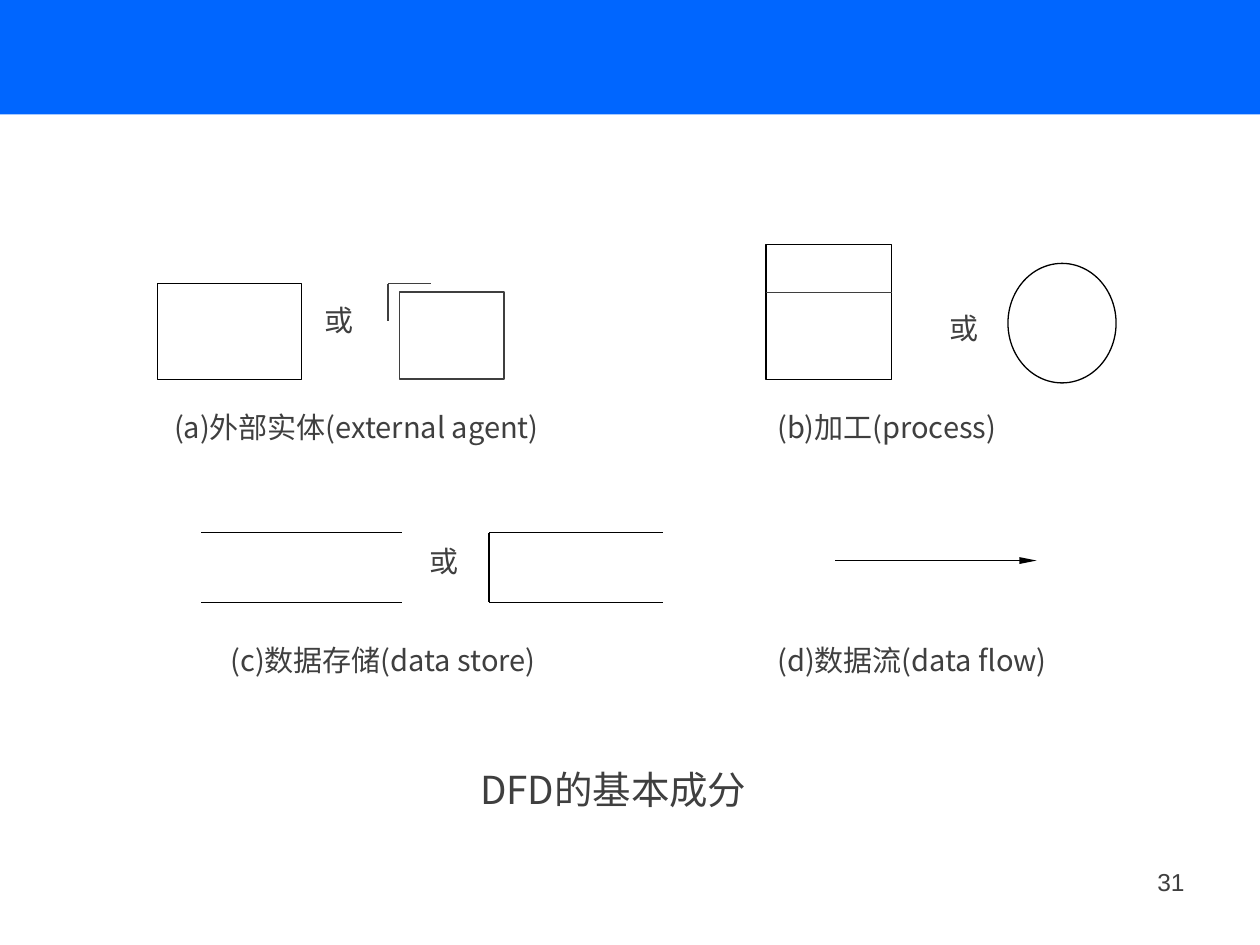
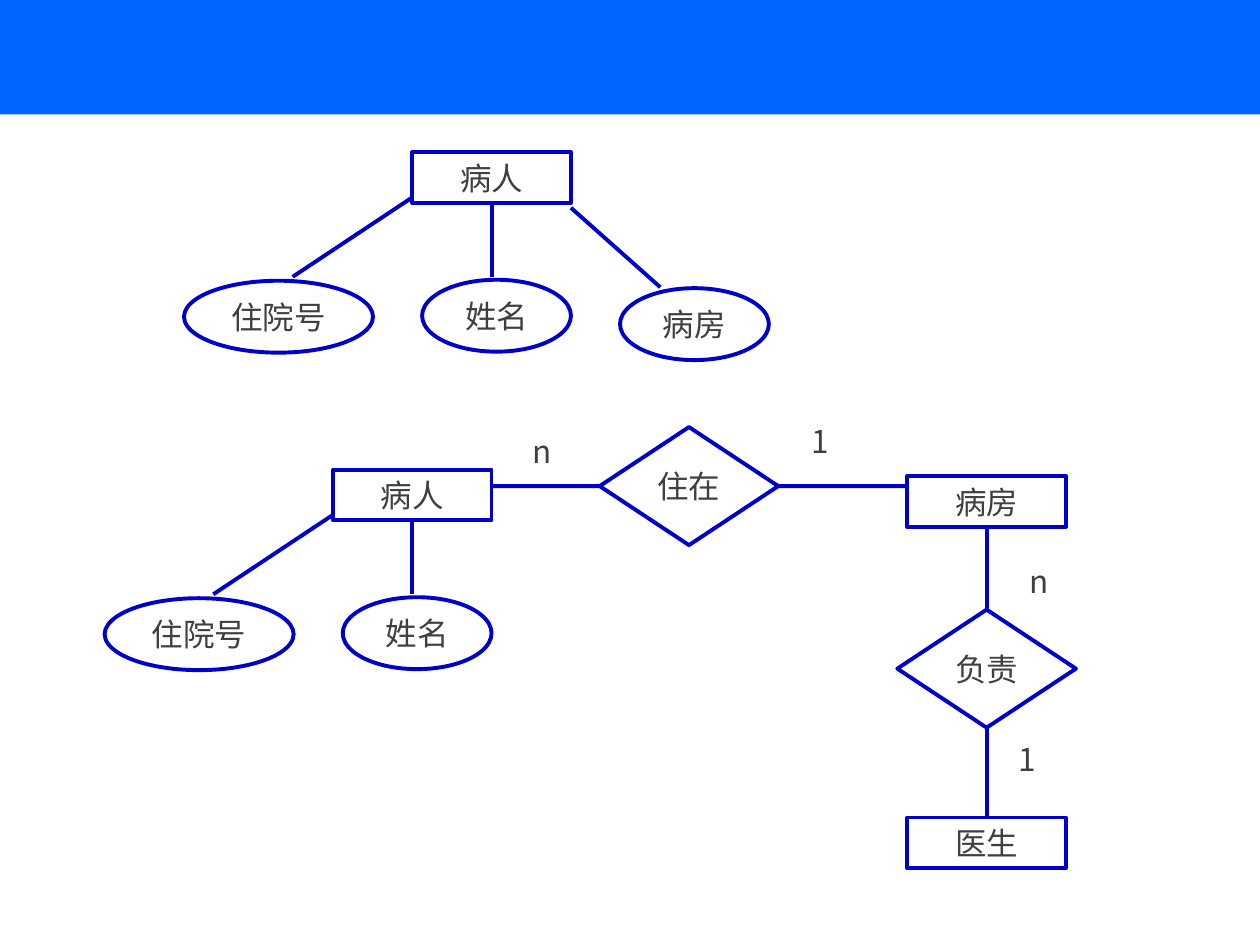
from typing import NamedTuple

from lxml import etree
from pptx import Presentation
from pptx.dml.color import RGBColor
from pptx.enum.shapes import MSO_CONNECTOR, MSO_SHAPE
from pptx.enum.text import MSO_ANCHOR, PP_ALIGN
from pptx.oxml.ns import qn
from pptx.util import Cm, Pt

BAND_BLUE = RGBColor(0x00, 0x66, 0xFF)
ER_BLUE = RGBColor(0x00, 0x00, 0xCC)
BLACK = RGBColor(0x00, 0x00, 0x00)
GREY = RGBColor(0x3F, 0x3F, 0x3F)
WHITE = RGBColor(0xFF, 0xFF, 0xFF)
CJK_FONT = "Noto Sans CJK SC"
NUMBER_FONT = "Arial"

RECT = MSO_SHAPE.RECTANGLE
OVAL = MSO_SHAPE.OVAL
DIAMOND = MSO_SHAPE.FLOWCHART_DECISION
STRAIGHT = MSO_CONNECTOR.STRAIGHT
MIDDLE = MSO_ANCHOR.MIDDLE
LEFT, CENTER, RIGHT, JUSTIFY = (
    PP_ALIGN.LEFT, PP_ALIGN.CENTER, PP_ALIGN.RIGHT, PP_ALIGN.JUSTIFY)
TOP_SITE, LEFT_SITE, BOTTOM_SITE, RIGHT_SITE = range(4)

INSET_X, INSET_Y = 0.25, 0.13
ENTITY_W, ENTITY_H = 3.2, 1.02
ATTRIBUTE_H = 1.45
RELATION_W, RELATION_H = 3.6, 2.38


class Box(NamedTuple):
    x: float
    y: float
    w: float
    h: float


class Pen(NamedTuple):
    color: RGBColor
    width: float


class Label(NamedTuple):
    text: str
    box: Box
    size: float = 16.6


class Attribute(NamedTuple):
    """An oval and its line, both measured from the entity's top left corner."""
    text: str
    x: float
    y: float
    w: float
    start: tuple[float, float]
    end: tuple[float, float]


THIN = Pen(BLACK, 0.75)
THIN_GREY = Pen(GREY, 0.75)
THICK = Pen(ER_BLUE, 2.25)

NOTATION_LABELS = [
    Label("(a)外部实体(external agent)", Box(3.51, 8.26, 9, 1.12)),
    Label("(b)加工(process)", Box(15.67, 8.26, 5.23, 1.12)),
    Label("(c)数据存储(data store)", Box(4.65, 12.95, 7.54, 1.1)),
    Label("(d)数据流(data flow)", Box(15.67, 12.95, 6.38, 1.1)),
    Label("DFD的基本成分", Box(9.68, 15.44, 6.96, 1.1), 22),
    Label("或", Box(6.55, 6.1, 0.6, 1.1)),
    Label("或", Box(19.15, 6.25, 0.6, 1.1)),
    Label("或", Box(8.66, 10.95, 0.6, 1.1)),
]

PATIENT_ATTRIBUTES = [
    Attribute("住院号", -4.6, 2.59, 3.81, (0, 0.91), (-2.41, 2.51)),
    Attribute("姓名", 0.2, 2.57, 3, (1.6, ENTITY_H), (1.6, 2.51)),
    Attribute("病房", 4.19, 2.74, 3, (3.2, 1.12), (5, 2.72)),
]

CARDINALITIES = [
    Label("n", Box(10.49, 8.58, 1, 1.02), 18),
    Label("1", Box(16.1, 8.38, 1, 1.02), 18),
    Label("n", Box(20.5, 11.2, 1, 1.02), 18),
    Label("1", Box(20.29, 14.78, 1, 1.02), 18),
]


def write(s, text: str, size: float, align, font: str = CJK_FONT,
          inset: tuple[float, float] = (0, 0)) -> None:
    tf = s.text_frame
    tf.word_wrap = True
    tf.margin_left = tf.margin_right = Cm(inset[0])
    tf.margin_top = tf.margin_bottom = Cm(inset[1])
    tf.text = text
    p = tf.paragraphs[0]
    p.alignment = align
    r = p.runs[0]
    r.font.size = Pt(size)
    r.font.color.rgb = GREY
    r.font.name = font
    etree.SubElement(r.font._element, qn("a:ea"), typeface=font)


def add_label(slide, label: Label, align=JUSTIFY, font: str = CJK_FONT,
              inset: tuple[float, float] = (0, 0)) -> None:
    s = slide.shapes.add_textbox(*map(Cm, label.box))
    write(s, label.text, label.size, align, font, inset)


def add_box(slide, kind, box: Box, pen: Pen | None,
            fill: RGBColor | None = WHITE):
    s = slide.shapes.add_shape(kind, *map(Cm, box))
    s.shadow.inherit = False
    if fill is None:
        s.fill.background()
    else:
        s.fill.solid()
        s.fill.fore_color.rgb = fill
    if pen is None:
        s.line.fill.background()
    else:
        s.line.color.rgb = pen.color
        s.line.width = Pt(pen.width)
    return s


def add_line(slide, x1: float, y1: float, x2: float, y2: float, pen: Pen):
    line = slide.shapes.add_connector(STRAIGHT, *map(Cm, (x1, y1, x2, y2)))
    line.line.color.rgb = pen.color
    line.line.width = Pt(pen.width)
    etree.SubElement(line._element.spPr, qn("a:effectLst"))
    return line


def add_arrow(slide, x1: float, y1: float, x2: float, y2: float, pen: Pen) -> None:
    line = add_line(slide, x1, y1, x2, y2, pen)
    etree.SubElement(line.line._get_or_add_ln(), qn("a:tailEnd"),
                     type="triangle", w="sm", len="lg")


def add_node(slide, kind, text: str, box: Box):
    s = add_box(slide, kind, box, THICK, None)
    s.text_frame.vertical_anchor = MIDDLE
    write(s, text, 18, CENTER)
    return s


def add_entity(slide, text: str, x: float, y: float):
    return add_node(slide, RECT, text, Box(x, y, ENTITY_W, ENTITY_H))


def add_relation(slide, text: str, x: float, y: float):
    return add_node(slide, DIAMOND, text, Box(x, y, RELATION_W, RELATION_H))


def add_patient(slide, x: float, y: float, attributes: list[Attribute]) -> None:
    entity = add_entity(slide, "病人", x, y)
    for a in attributes:
        add_node(slide, OVAL, a.text, Box(x + a.x, y + a.y, a.w, ATTRIBUTE_H))
        line = add_line(slide, x + a.start[0], y + a.start[1],
                        x + a.end[0], y + a.end[1], THICK)
        if a.start == (ENTITY_W / 2, ENTITY_H):
            line.begin_connect(entity, BOTTOM_SITE)


def join_down(slide, upper, lower) -> None:
    line = add_line(slide, 0, 0, 0, 0, THICK)
    line.begin_connect(upper, BOTTOM_SITE)
    line.end_connect(lower, TOP_SITE)


def add_banded_slide(prs):
    slide = prs.slides.add_slide(prs.slide_layouts[6])
    add_box(slide, RECT, Box(0, 0, 25.5, 2.31), None, BAND_BLUE)
    return slide


def build_dfd_notation(prs) -> None:
    slide = add_banded_slide(prs)

    # External agent
    add_box(slide, RECT, Box(3.18, 5.72, 2.9, 1.93), THIN)
    add_box(slide, RECT, Box(8.05, 5.89, 2.11, 1.75), THIN_GREY)
    add_line(slide, 7.82, 5.72, 8.69, 5.72, THIN_GREY)
    add_line(slide, 7.82, 5.72, 7.82, 6.48, THIN_GREY)

    # Process
    add_box(slide, RECT, Box(15.44, 4.93, 2.54, 2.72), THIN)
    add_line(slide, 15.44, 5.89, 17.98, 5.89, THIN_GREY)
    add_box(slide, OVAL, Box(20.32, 5.31, 2.18, 2.41), THIN)

    # Data store
    store_top, store_bottom = 10.74, 12.14
    for x1, x2 in ((4.06, 8.1), (9.86, 13.36)):
        for y in (store_top, store_bottom):
            add_line(slide, x1, y, x2, y, THIN)
    add_line(slide, 9.86, store_top, 9.86, store_bottom, THIN)

    # Data flow
    add_arrow(slide, 16.84, 11.3, 20.9, 11.3, THIN)

    for label in NOTATION_LABELS:
        add_label(slide, label)
    add_label(slide, Label("31", Box(18.21, 17.35, 5.92, 1.32), 14),
              RIGHT, NUMBER_FONT, (INSET_X, INSET_Y))


def build_er_diagram(prs) -> None:
    slide = add_banded_slide(prs)
    add_patient(slide, 8.31, 3.07, PATIENT_ATTRIBUTES)

    patient_x, ward_x = 6.71, 18.29
    add_patient(slide, patient_x, 9.47, PATIENT_ATTRIBUTES[:2])
    lives_in = add_relation(slide, "住在", 12.09, 8.61)
    ward = add_entity(slide, "病房", ward_x, 9.6)
    in_charge = add_relation(
        slide, "负责", ward_x + (ENTITY_W - RELATION_W) / 2, 12.29)
    doctor = add_entity(slide, "医生", ward_x, 16.48)

    axis_y = 8.61 + RELATION_H / 2
    for x, site in ((patient_x + ENTITY_W, LEFT_SITE), (ward_x, RIGHT_SITE)):
        line = add_line(slide, x, axis_y, x, axis_y, THICK)
        line.end_connect(lives_in, site)
    join_down(slide, ward, in_charge)
    join_down(slide, in_charge, doctor)

    for label in CARDINALITIES:
        add_label(slide, label, LEFT, inset=(INSET_X, INSET_Y))


def main() -> None:
    prs = Presentation()
    prs.slide_width, prs.slide_height = Cm(25.4), Cm(19.05)
    build_dfd_notation(prs)
    build_er_diagram(prs)
    prs.save("out.pptx")


if __name__ == "__main__":
    main()
